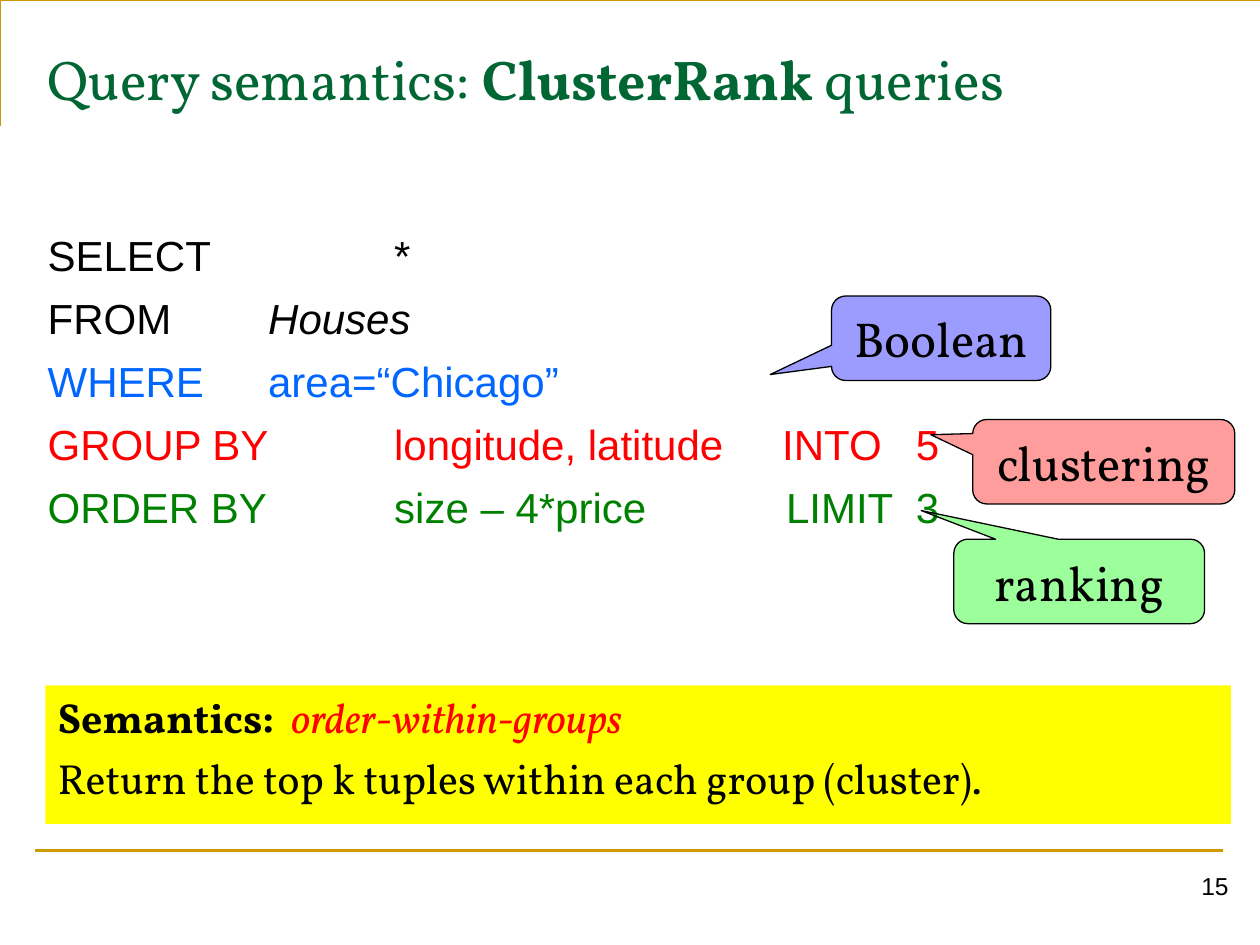
from lxml import etree
from pptx import Presentation
from pptx.dml.color import RGBColor
from pptx.enum.shapes import MSO_CONNECTOR, MSO_SHAPE
from pptx.enum.text import MSO_ANCHOR, PP_ALIGN
from pptx.oxml.ns import qn
from pptx.util import Inches, Pt

STRAIGHT = MSO_CONNECTOR.STRAIGHT
CALLOUT = MSO_SHAPE.ROUNDED_RECTANGULAR_CALLOUT
RECT = MSO_SHAPE.RECTANGLE
TOP, MIDDLE = MSO_ANCHOR.TOP, MSO_ANCHOR.MIDDLE
LEFT, CENTER, RIGHT = PP_ALIGN.LEFT, PP_ALIGN.CENTER, PP_ALIGN.RIGHT

SERIF, SANS = "Vollkorn", "Arial"
BLACK, RED, GOLD = "000000", "FF0000", "CC9900"


def rgb(color):
    return RGBColor.from_string(color)


def add_box(s, box, fill=None, shape=RECT):
    box = [Inches(v) for v in box]
    if fill:
        sp = s.shapes.add_shape(shape, *box)
        sp.shadow.inherit = False
        sp.fill.solid()
        sp.fill.fore_color.rgb = rgb(fill)
        sp.line.fill.background()
    else:
        sp = s.shapes.add_textbox(*box)
    sp.text_frame.word_wrap = True
    sp.text_frame.vertical_anchor = TOP
    return sp


def write(tf, paragraphs, font, size, align=LEFT, space=0):
    for i, runs in enumerate(paragraphs):
        p = tf.add_paragraph() if i else tf.paragraphs[0]
        p.alignment = align
        p.space_before = Pt(space if i else 0)
        for text, color, style in runs:
            r = p.add_run()
            r.text = text
            r.font.name = font
            r.font.size = Pt(size)
            r.font.color.rgb = rgb(color)
            r.font.bold = style == "bold"
            r.font.italic = style == "italic"


def set_tabs(p, stops):
    tabs = etree.SubElement(p._p.get_or_add_pPr(), qn("a:tabLst"))
    for stop in stops:
        etree.SubElement(tabs, qn("a:tab"), pos=str(Inches(stop)), algn="l")


def add_frame(s, left, top, width, height):
    right, bottom = left + width, top + height
    builder = s.shapes.build_freeform(left, top + 0.67, scale=Inches(1))
    builder.add_line_segments([(left, top), (right, top)], close=False)
    corner = builder.convert_to_shape()
    corner.shadow.inherit = False
    corner.fill.background()
    rule = s.shapes.add_connector(
        STRAIGHT, Inches(left), Inches(bottom), Inches(right), Inches(bottom))
    etree.SubElement(rule._element.spPr, qn("a:effectLst"))
    for sp in (corner, rule):
        sp.line.color.rgb = rgb(GOLD)
        sp.line.width = Pt(1.5)


def add_title(s, box):
    green = "006633"
    runs = [("Query semantics: ", green, ""), ("ClusterRank", green, "bold"),
            (" queries", green, "")]
    write(add_box(s, box).text_frame, [runs], SERIF, 32)


def add_query(s, box):
    blue, green = "0066FF", "008000"
    rows = [
        ([("SELECT\t*", BLACK, "")], [2.75]),
        ([("FROM\t", BLACK, ""), ("Houses", BLACK, "italic")], [1.75]),
        ([("WHERE\tarea=“Chicago”", blue, "")], [1.75]),
        ([("GROUP BY\tlongitude, latitude\tINTO\t5", RED, "")],
         [2.75, 5.83, 6.89]),
        ([("ORDER BY\tsize – 4*price\tLIMIT\t3", green, "")],
         [2.75, 5.86, 6.89]),
    ]
    tf = add_box(s, box).text_frame
    write(tf, [runs for runs, _ in rows], SANS, 24, space=7.25)
    for p, (_, stops) in zip(tf.paragraphs, rows):
        set_tabs(p, stops)


def add_callout(s, box, text, fill, tip):
    sp = add_box(s, box, fill, CALLOUT)
    sp.adjustments[0], sp.adjustments[1] = tip
    color = sp.fill._xPr.find(qn("a:solidFill"))[0]
    etree.SubElement(color, qn("a:alpha"), val="39000")
    sp.line.color.rgb = rgb(BLACK)
    sp.line.width = Pt(0.75)
    sp.text_frame.vertical_anchor = MIDDLE
    write(sp.text_frame, [[(text, BLACK, "")]], SERIF, 28, CENTER)


def add_semantics(s, box):
    paragraphs = [
        [("Semantics:  ", BLACK, "bold"), ("order-within-groups", RED, "italic")],
        [("Return the top k tuples within each group (cluster).", BLACK, "")],
    ]
    write(add_box(s, box, "FFFF00").text_frame, paragraphs, SERIF, 24, space=6)


def add_page_number(s, box):
    write(add_box(s, box).text_frame, [[("15", BLACK, "")]], SANS, 14, RIGHT)


def main():
    prs = Presentation()
    prs.slide_width, prs.slide_height = Inches(10), Inches(7.5)
    s = prs.slides.add_slide(prs.slide_layouts[6])
    add_frame(s, 0.28, 0.25, 9.43, 6.5)
    add_page_number(s, (8.55, 6.86, 1.3, 0.52))
    add_title(s, (0.28, 0.3, 9.41, 1.25))
    add_query(s, (0.28, 1.77, 9.41, 4.93))
    add_callout(s, (7.57, 4.28, 1.99, 0.67), "ranking", "00FF00", (-0.63, -0.84))
    add_callout(s, (7.72, 3.33, 2.08, 0.67), "clustering", RED, (-0.66, -0.32))
    add_callout(s, (6.6, 2.35, 1.74, 0.67), "Boolean", "0000FF", (-0.78, 0.43))
    add_semantics(s, (0.36, 5.44, 9.41, 1.1))
    prs.save("out.pptx")


if __name__ == "__main__":
    main()
